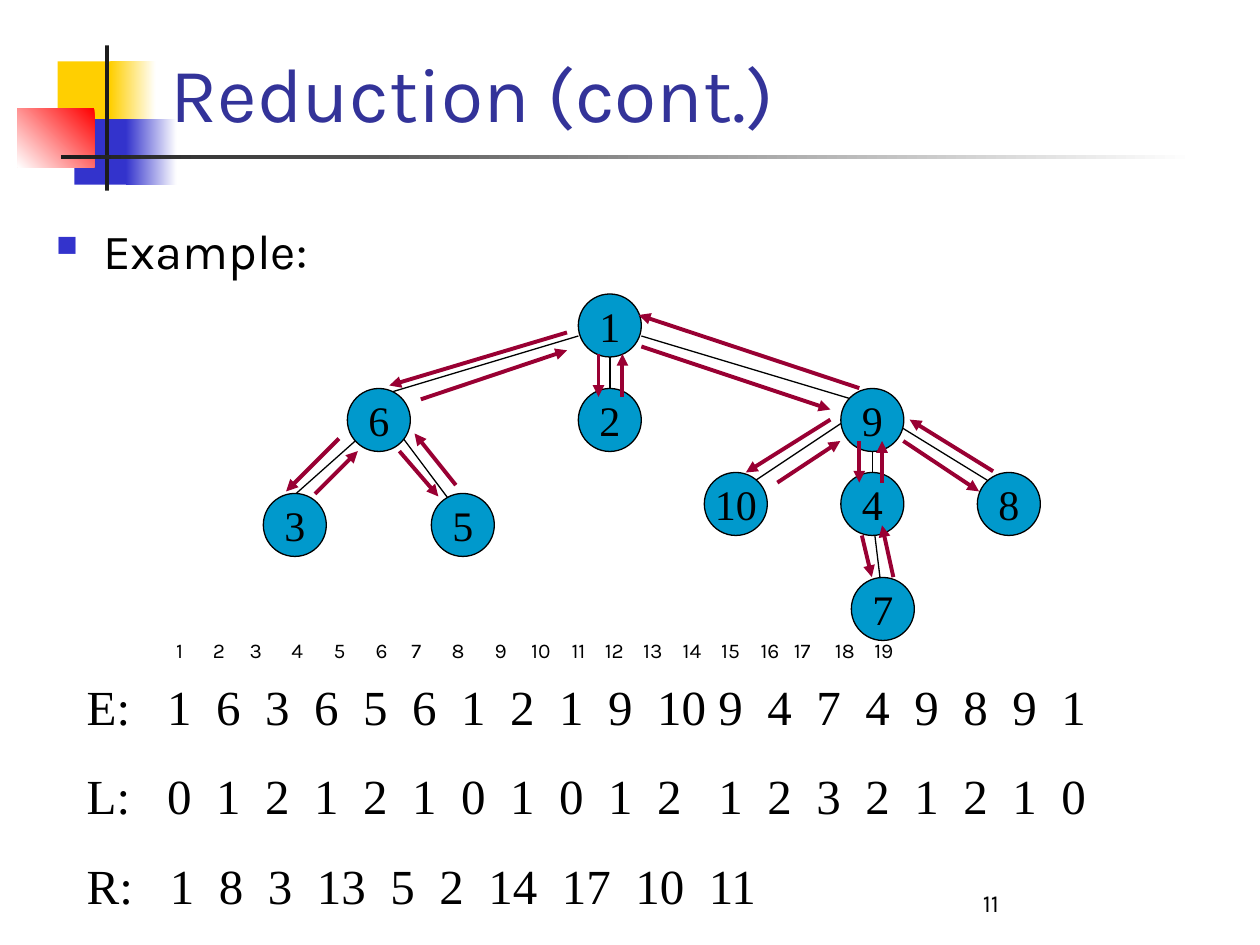
from itertools import accumulate

from lxml import etree
from pptx import Presentation
from pptx.dml.color import RGBColor
from pptx.enum import shapes as kinds, text as texts
from pptx.oxml import ns
from pptx.util import Pt

COLORS = {
    "yellow": "FFCF01", "blue": "3333CC", "red": "FF0000", "white": "FFFFFF",
    "bar": "1C1C1C", "title": "333399", "black": "000000",
    "node": "0099CC", "tour": "990033",
}
SANS, SERIF = "Karla", "Times New Roman"
NODE_SIZE = 36

NODES = {  # label: left, top within the tree
    "1": (180, 0), "6": (48, 54), "2": (180, 54), "9": (330, 54),
    "3": (0, 114), "5": (96, 114), "10": (252, 102), "4": (330, 102),
    "8": (408, 102), "7": (336, 162),
}
EDGES = [  # x1, y1, x2, y2 within the tree
    (348, 126, 356, 192), (348, 66, 348, 126), (198, 12, 198, 72),
    (216, 24, 336, 60), (180, 24, 60, 60), (66, 72, 12, 120),
    (72, 72, 108, 120), (342, 66, 270, 114), (348, 66, 426, 114),
]
TOUR = [  # Euler tour steps, in visiting order
    (173.5, 22, 72, 52.3), (43.2, 82.6, 13, 112.8), (29.5, 114.2, 54, 89.8),
    (77.7, 89.8, 100, 115.7), (110, 109.2, 86.4, 79.7), (90, 60.2, 173.5, 32.2),
    (191.5, 34.3, 191.5, 58.8), (205.2, 58.8, 205.2, 34.3),
    (216, 30, 324, 66), (324, 71.8, 275.7, 102), (293.7, 107.8, 329.7, 84),
    (340.5, 84, 340.5, 107.8), (342, 138, 347.7, 161.8),
    (360, 161.8, 353.5, 132.2), (353.5, 107.8, 353.5, 84),
    (365.7, 84, 409, 112.8), (417, 101.3, 369.3, 71.8), (340.5, 53.8, 214.5, 12),
]
EULER = "1 6 3 6 5 6 1 2 1 9 10 9 4 7 4 9 8 9 1".split()
LEVELS = "0 1 2 1 2 1 0 1 0 1 2 1 2 3 2 1 2 1 0".split()
FIRST_SEEN = "1 8 3 13 5 2 14 17 10 11".split()
INDEX_STOPS = [21, 42, 66, 90, 114, 134.5, 157.5, 182, 203, 226, 245,
               267, 289.5, 311.5, 334, 353, 376.5, 399]


def rgb(name):
    """Return the named colour."""
    return RGBColor.from_string(COLORS[name])


def add_props(paragraph, tag, **attributes):
    """Append one element to the paragraph properties and return it."""
    props = paragraph._p.get_or_add_pPr()
    return etree.SubElement(props, ns.qn(tag), attributes)


def set_stops(paragraph, stops):
    """Set left tab stops at the given distances."""
    tabs = add_props(paragraph, "a:tabLst")
    for stop in stops:
        etree.SubElement(tabs, ns.qn("a:tab"), pos=str(Pt(stop)), algn="l")


def style(paragraph, size, face, color="black"):
    """Set the font of a whole paragraph."""
    font = paragraph.font
    font.size, font.name, font.color.rgb = Pt(size), face, rgb(color)


def add_frame(slide, box, anchor=texts.MSO_ANCHOR.TOP):
    """Add a wrapping text box and return its text frame."""
    frame = slide.shapes.add_textbox(*map(Pt, box)).text_frame
    frame.word_wrap = True
    frame.vertical_anchor = anchor
    return frame


def add_block(slide, kind, box, color):
    """Add a plain filled shape without a line."""
    block = slide.shapes.add_shape(kind, *map(Pt, box))
    block.shadow.inherit = False
    block.line.fill.background()
    block.fill.solid()
    block.fill.fore_color.rgb = rgb(color)
    return block


def add_line(slide, ends, color, width, arrow=False):
    """Add a straight line, with an arrowhead at its end if asked."""
    line = slide.shapes.add_connector(
        kinds.MSO_CONNECTOR.STRAIGHT, *map(Pt, ends))
    line.line.color.rgb, line.line.width = rgb(color), Pt(width)
    if arrow:
        etree.SubElement(line.line._get_or_add_ln(), ns.qn("a:tailEnd"),
                         type="triangle")
    etree.SubElement(line._element.spPr, ns.qn("a:effectLst"))


def draw_ornament(slide, left, top):
    """Draw the overlapping squares and the two bars behind the title."""
    parts = [  # box, first colour, last colour, angle
        ((23, 9, 34.5, 37.5), "yellow", None, 0),
        ((53, 9, 26, 37.5), "yellow", "white", 0),
        ((32.5, 42, 33, 37.5), "blue", None, 0),
        ((62, 42, 29, 37.5), "blue", "white", 0),
        ((0, 36, 44, 33.5), "red", "white", 225),
        ((50, 0, 2.3, 83), "bar", None, 0),
        ((25, 62.5, 648, 2.3), "bar", "white", 0),
    ]
    for (x, y, width, height), first, last, angle in parts:
        block = add_block(slide, kinds.MSO_SHAPE.RECTANGLE,
                          (left + x, top + y, width, height), first)
        if last:
            block.fill.gradient()
            block.fill.gradient_angle = angle
            for stop, name in zip(block.fill.gradient_stops, (first, last)):
                stop.color.rgb = rgb(name)


def write_line(slide, box, wording, size, color="black",
               anchor=texts.MSO_ANCHOR.TOP):
    """Write one line of sans text."""
    paragraph = add_frame(slide, box, anchor).paragraphs[0]
    paragraph.text = wording
    style(paragraph, size, SANS, color)


def write_bullet(slide, box, wording):
    """Write the square-bulleted body line."""
    paragraph = add_frame(slide, box).paragraphs[0]
    paragraph.text = wording
    paragraph.space_before = Pt(7)
    props = paragraph._p.get_or_add_pPr()
    props.set("marL", str(Pt(27)))
    props.set("indent", str(Pt(-27)))
    etree.SubElement(add_props(paragraph, "a:buClr"), ns.qn("a:srgbClr"),
                     val=COLORS["blue"])
    add_props(paragraph, "a:buSzPct", val="60000")
    add_props(paragraph, "a:buChar", char="■")
    style(paragraph, 28, SANS)


def draw_tree(slide, left, top):
    """Draw the tree and the arrows of its Euler tour."""
    def shift(ends):
        x1, y1, x2, y2 = ends
        return left + x1, top + y1, left + x2, top + y2

    for edge in EDGES:
        add_line(slide, shift(edge), "black", 0.75)
    for label, (x, y) in NODES.items():
        node = add_block(slide, kinds.MSO_SHAPE.OVAL,
                         (left + x, top + y, NODE_SIZE, NODE_SIZE), "node")
        node.line.color.rgb, node.line.width = rgb("black"), Pt(0.75)
        node.text_frame.word_wrap = False
        node.text_frame.vertical_anchor = texts.MSO_ANCHOR.MIDDLE
        paragraph = node.text_frame.paragraphs[0]
        paragraph.text = label
        paragraph.alignment = texts.PP_ALIGN.CENTER
        style(paragraph, 24, SERIF)
    for step in TOUR:
        add_line(slide, shift(step), "tour", 2.25, arrow=True)


def write_arrays(slide, box):
    """Write the rows E, L and R with their values at tab stops."""
    even = [46 + 28 * i + (7 if i > 10 else 0) for i in range(len(EULER))]
    packed = list(accumulate((14 * len(v) + 14 for v in FIRST_SEEN[:-1]),
                             initial=47.5))
    rows = [("E:", EULER, even), ("L:", LEVELS, even),
            ("R:", FIRST_SEEN, packed)]
    frame = add_frame(slide, box)
    for number, (name, values, stops) in enumerate(rows):
        paragraph = frame.add_paragraph() if number else frame.paragraphs[0]
        paragraph.text = "\t".join([name, *values])
        paragraph.space_before = Pt(17.5)
        set_stops(paragraph, stops)
        style(paragraph, 28, SERIF)


def write_index(slide, box):
    """Write the positions 1 to 19 above the arrays."""
    paragraph = add_frame(slide, box).paragraphs[0]
    paragraph.text = "\t".join(str(i + 1) for i in range(len(EULER)))
    set_stops(paragraph, INDEX_STOPS)
    style(paragraph, 12, SANS)


deck = Presentation()
deck.slide_width, deck.slide_height = Pt(720), Pt(540)
slide = deck.slides.add_slide(deck.slide_layouts[6])
bottom = texts.MSO_ANCHOR.BOTTOM
draw_ornament(slide, 10, 26)
write_line(slide, (90.5, 16.5, 613.5, 66), "Reduction (cont.)", 44, "title", bottom)
write_bullet(slide, (25, 122.5, 680, 57), "Example:")
draw_tree(slide, 150.5, 168)
write_arrays(slide, (42.5, 383, 612, 143))
write_index(slide, (93.5, 361, 538.5, 21.5))
write_line(slide, (554.5, 492, 150, 36), "11", 14, anchor=bottom)
deck.save("out.pptx")
